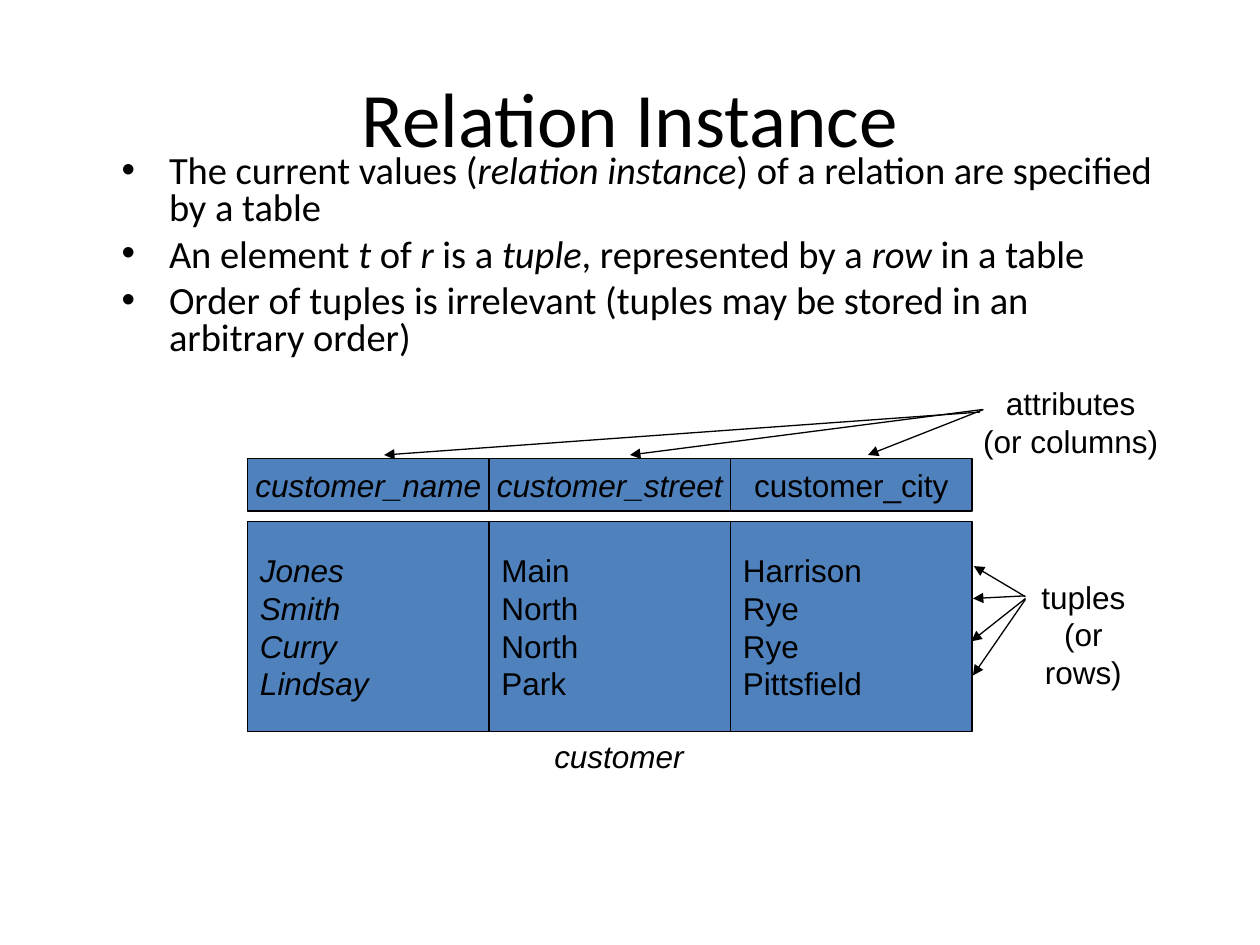
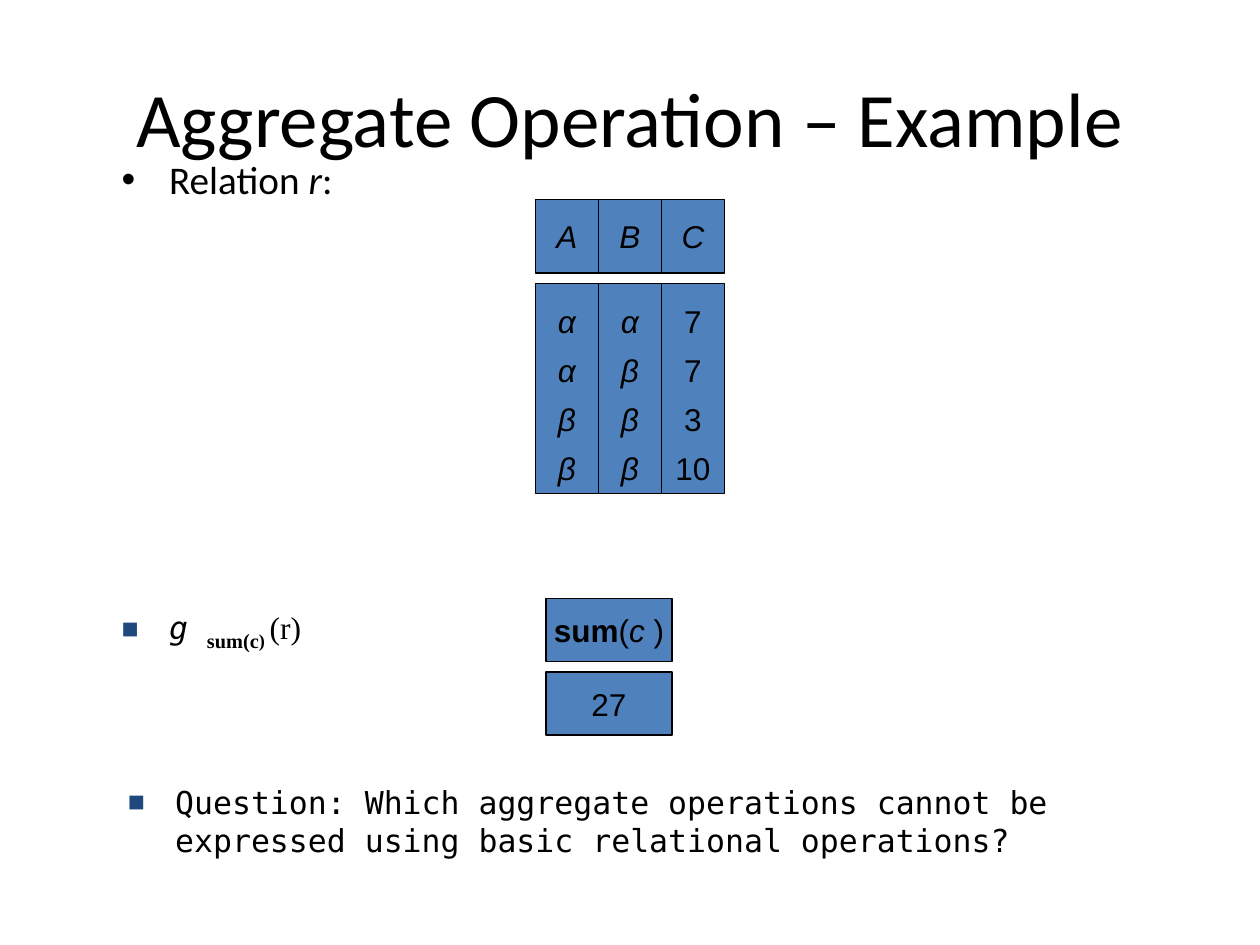
from pptx import Presentation
from pptx.dml.color import RGBColor
from pptx.enum.shapes import MSO_CONNECTOR, MSO_SHAPE
from pptx.enum.text import MSO_ANCHOR, PP_ALIGN
from pptx.oxml.ns import qn
from pptx.util import Pt
from lxml import etree

RECTANGLE = MSO_SHAPE.RECTANGLE
STRAIGHT = MSO_CONNECTOR.STRAIGHT
TOP, MIDDLE = MSO_ANCHOR.TOP, MSO_ANCHOR.MIDDLE
LEFT, CENTER = PP_ALIGN.LEFT, PP_ALIGN.CENTER

BLACK, CELL_BLUE, BULLET_NAVY = "000000", "4F81BD", "1F497D"
GAP = 6

ITALIC = {"italic": True}
TITLE_FONT = {"name": "Calibri", "size": Pt(44)}
BODY_FONT = {"name": "Calibri", "size": Pt(22)}
CELL_FONT = {"name": "Arial", "size": Pt(18)}
MONO_FONT = {"name": "DejaVu Sans Mono", "size": Pt(18)}
SERIF_FONT = {"name": "Times New Roman", "size": Pt(18)}
SUBSCRIPT = SERIF_FONT | {"bold": True, "baseline": "-25000"}

DOT = ("•", BLACK, 100)
SQUARE = ("■", BULLET_NAVY, 90)


def color(hex_value):
    return RGBColor.from_string(hex_value)


def add_text(page, bounds, paragraphs, font, align=LEFT, anchor=TOP, wrap=True,
             fill=None, bullet=None, line_spacing=None, space_before=0):
    lengths = [Pt(value) for value in bounds]
    if fill:
        box = page.shapes.add_shape(RECTANGLE, *lengths)
        box.shadow.inherit = False
        box.fill.solid()
        box.fill.fore_color.rgb = color(fill)
        box.line.color.rgb = color(BLACK)
        box.line.width = Pt(0.75)
    else:
        box = page.shapes.add_textbox(*lengths)
    frame = box.text_frame
    frame.word_wrap = wrap
    frame.vertical_anchor = anchor
    for index, spans in enumerate(paragraphs):
        para = frame.add_paragraph() if index else frame.paragraphs[0]
        if bullet:
            symbol, symbol_color, percent = bullet
            properties = para._p.get_or_add_pPr()
            properties.set("marL", str(Pt(27)))
            properties.set("indent", str(Pt(-27)))
            tint = etree.SubElement(properties, qn("a:buClr"))
            etree.SubElement(tint, qn("a:srgbClr"), val=symbol_color)
            etree.SubElement(properties, qn("a:buSzPct"), val=str(percent * 1000))
            etree.SubElement(properties, qn("a:buFont"), typeface="Arial")
            etree.SubElement(properties, qn("a:buChar"), char=symbol)
        para.alignment = align
        if line_spacing:
            para.line_spacing = line_spacing
        if index and space_before:
            para.space_before = Pt(space_before)
        for text, changes in spans:
            span = para.add_run()
            span.text = text
            span.font.color.rgb = color(BLACK)
            for name, value in (font | changes).items():
                if name == "baseline":
                    span._r.get_or_add_rPr().set(name, value)
                else:
                    setattr(span.font, name, value)


deck = Presentation()
deck.slide_width, deck.slide_height = Pt(720), Pt(540)
pages = []
for title in ("Relation Instance", "Aggregate Operation – Example"):
    page = deck.slides.add_slide(deck.slide_layouts[6])
    add_text(page, (36, 21.6, 648, 90), [[(title, {})]], TITLE_FONT, CENTER, MIDDLE)
    pages.append(page)
instance_page, aggregate_page = pages

statements = [
    [("The current values (", {}), ("relation instance", ITALIC),
     (") of a relation are specified by a table", {})],
    [("An element ", {}), ("t", ITALIC), (" of ", {}), ("r", ITALIC), (" is a ", {}),
     ("tuple", ITALIC), (", represented by a ", {}), ("row ", ITALIC), ("in a table", {})],
    [("Order of tuples is irrelevant (tuples may be stored in an arbitrary order)", {})],
]
add_text(instance_page, (62.5, 85, 603.5, 155.5), statements, BODY_FONT,
         bullet=DOT, line_spacing=0.8, space_before=5.5)
add_text(aggregate_page, (62.5, 85, 139, 45.5),
         [[("Relation ", {}), ("r", ITALIC), (":", {})]],
         BODY_FONT | {"size": Pt(22.4)}, bullet=DOT)

customer_columns = [
    ("customer_name", ITALIC, ["Jones", "Smith", "Curry", "Lindsay"], ITALIC),
    ("customer_street", ITALIC, ["Main", "North", "North", "Park"], {}),
    ("customer_city", {}, ["Harrison", "Rye", "Rye", "Pittsfield"], {}),
]
relation_columns = [
    ("A", ITALIC, ["α", "α", "β", "β"], ITALIC),
    ("B", ITALIC, ["α", "β", "β", "β"], ITALIC),
    ("C", ITALIC, ["7", "7", "3", "10"], {}),
]
relations = [
    (instance_page, customer_columns, 141.5, 262, 138, 30, LEFT, None),
    (aggregate_page, relation_columns, 306, 114, 36, 42, CENTER, 1.3),
]
for page, columns, left, top, width, header_height, align, spacing in relations:
    for index, (header, header_style, values, value_style) in enumerate(columns):
        x = left + index * width
        add_text(page, (x, top + header_height + GAP, width, 120),
                 [[(value, value_style)] for value in values], CELL_FONT, align, MIDDLE,
                 wrap=align == LEFT, fill=CELL_BLUE, line_spacing=spacing)
        add_text(page, (x, top, width, header_height), [[(header, header_style)]],
                 CELL_FONT, CENTER, MIDDLE, wrap=False, fill=CELL_BLUE)

labels = [
    ((309.5, 417.5, 88.5, 29), ["customer"], ITALIC, MIDDLE),
    ((554.5, 216, 114.5, 50.5), ["attributes", "(or columns)"], {}, TOP),
    ((576.5, 326.5, 85, 50.5), ["tuples", "(or rows)"], {}, TOP),
]
for bounds, lines, style, anchor in labels:
    add_text(instance_page, bounds, [[(line, style)] for line in lines],
             CELL_FONT, CENTER, anchor, wrap=False)

arrows = [
    (560, 235.5, 219.5, 260),
    (561.5, 234, 360, 260),
    (562, 234, 496, 260),
    (586, 341, 556.5, 323.5),
    (585.5, 340.5, 556, 342),
    (586, 342, 555, 366.5),
    (586, 342.5, 556, 386),
]
for points in arrows:
    arrow = instance_page.shapes.add_connector(STRAIGHT, *[Pt(value) for value in points])
    arrow.line.color.rgb = color(BLACK)
    arrow.line.width = Pt(0.75)
    properties = arrow._element.spPr
    etree.SubElement(properties.get_or_add_ln(), qn("a:tailEnd"), type="triangle")
    etree.SubElement(properties, qn("a:effectLst"))

add_text(aggregate_page, (62.5, 342, 158.5, 44),
         [[("g ", ITALIC), ("sum(c", SUBSCRIPT | {"size": Pt(20)}), (") ", SUBSCRIPT),
           ("(r)", SERIF_FONT)]], MONO_FONT, bullet=SQUARE)
sum_cells = [
    [("sum", {"bold": True}), ("(", {}), ("c ", ITALIC), (")", {})],
    [("27", {})],
]
for index, spans in enumerate(sum_cells):
    add_text(aggregate_page, (312, 342 + index * (36 + GAP), 72, 36), [spans],
             CELL_FONT, CENTER, MIDDLE, wrap=False, fill=CELL_BLUE)
question = ("Question: Which aggregate operations cannot be expressed "
            "using basic relational operations?")
add_text(aggregate_page, (66, 444, 564, 60), [[(question, {})]], MONO_FONT, bullet=SQUARE)

deck.save("out.pptx")
